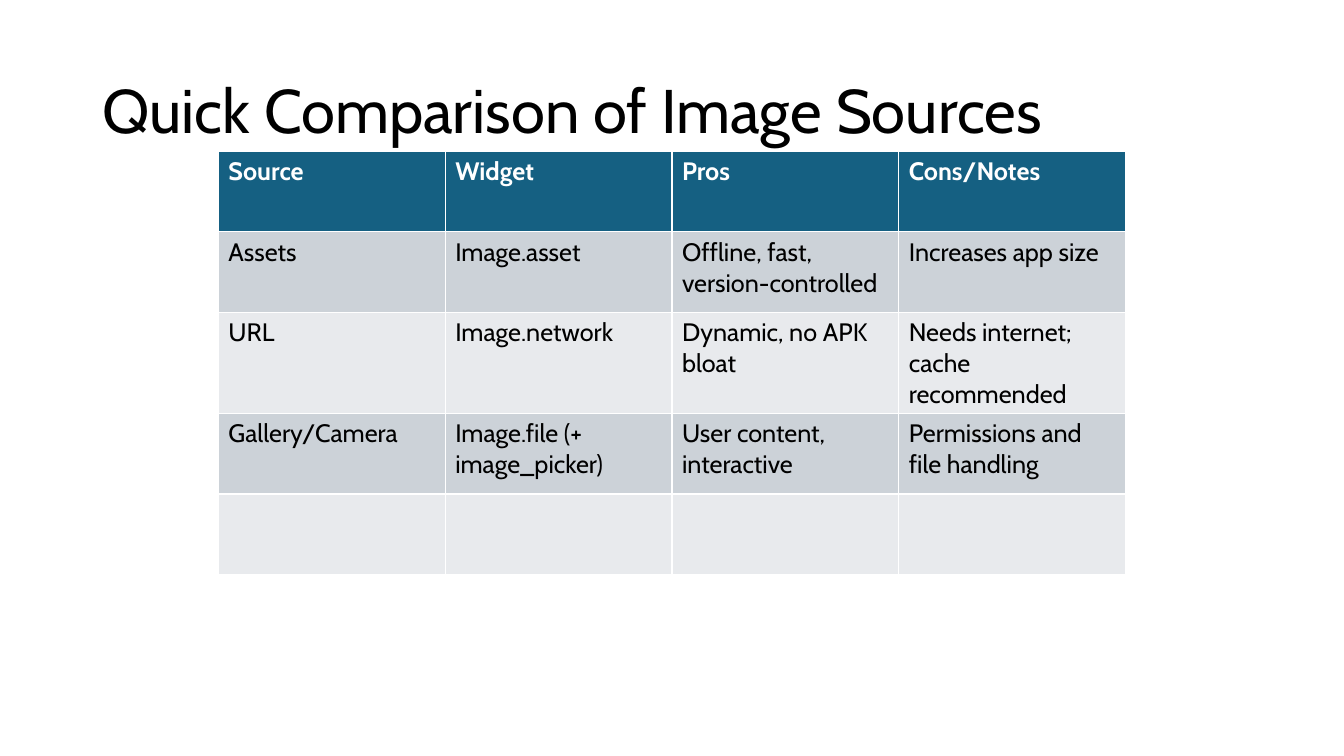
from pptx import Presentation
from pptx.dml.color import RGBColor
from pptx.enum.text import MSO_ANCHOR
from pptx.util import Pt

MIDDLE = MSO_ANCHOR.MIDDLE
FONT = "Cabin"
BLACK, WHITE = "000000", "FFFFFF"
HEAD, DARK, LIGHT = "156082", "CCD2D8", "E8EAED"
ROWS = [
    ("Source", "Widget", "Pros", "Cons/Notes"),
    ("Assets", "Image.asset", "Offline, fast, version-controlled",
     "Increases app size"),
    ("URL", "Image.network", "Dynamic, no APK bloat",
     "Needs internet; cache recommended"),
    ("Gallery/Camera", "Image.file (+ image_picker)",
     "User content, interactive", "Permissions and file handling"),
    ("", "", "", ""),
]


def color(code):
    return RGBColor.from_string(code)


def style(para, size, code, bold=False):
    """Format the runs of a paragraph, or its font when it has none."""
    for item in para.runs or [para]:
        font = item.font
        font.name, font.size, font.bold = FONT, Pt(size), bold
        font.color.rgb = color(code)


def add_title(slide, text, left, top, width, height):
    box = slide.shapes.add_textbox(Pt(left), Pt(top), Pt(width), Pt(height))
    frame = box.text_frame
    frame.word_wrap = True
    frame.vertical_anchor = MIDDLE
    frame.text = text
    para = frame.paragraphs[0]
    para.line_spacing = 0.9
    style(para, 44, BLACK)


def add_grid(slide, rows, left, top, width, height):
    """Add a table with a header row and banded body rows."""
    table = slide.shapes.add_table(
        len(rows), len(rows[0]), Pt(left), Pt(top), Pt(width), Pt(height)
    ).table
    for r, row in enumerate(rows):
        head = r == 0
        fill = HEAD if head else DARK if r % 2 else LIGHT
        for c, text in enumerate(row):
            cell = table.cell(r, c)
            cell.fill.solid()
            cell.fill.fore_color.rgb = color(fill)
            cell.text_frame.text = text
            style(cell.text_frame.paragraphs[0], 18,
                  WHITE if head else BLACK, head)


def main():
    deck = Presentation()
    deck.slide_width, deck.slide_height = Pt(960), Pt(540)
    slide = deck.slides.add_slide(deck.slide_layouts[6])
    add_title(slide, "Quick Comparison of Image Sources", 66, 28.8, 828, 104.4)
    add_grid(slide, ROWS, 156, 108, 648, 288)
    deck.save("out.pptx")


if __name__ == "__main__":
    main()
